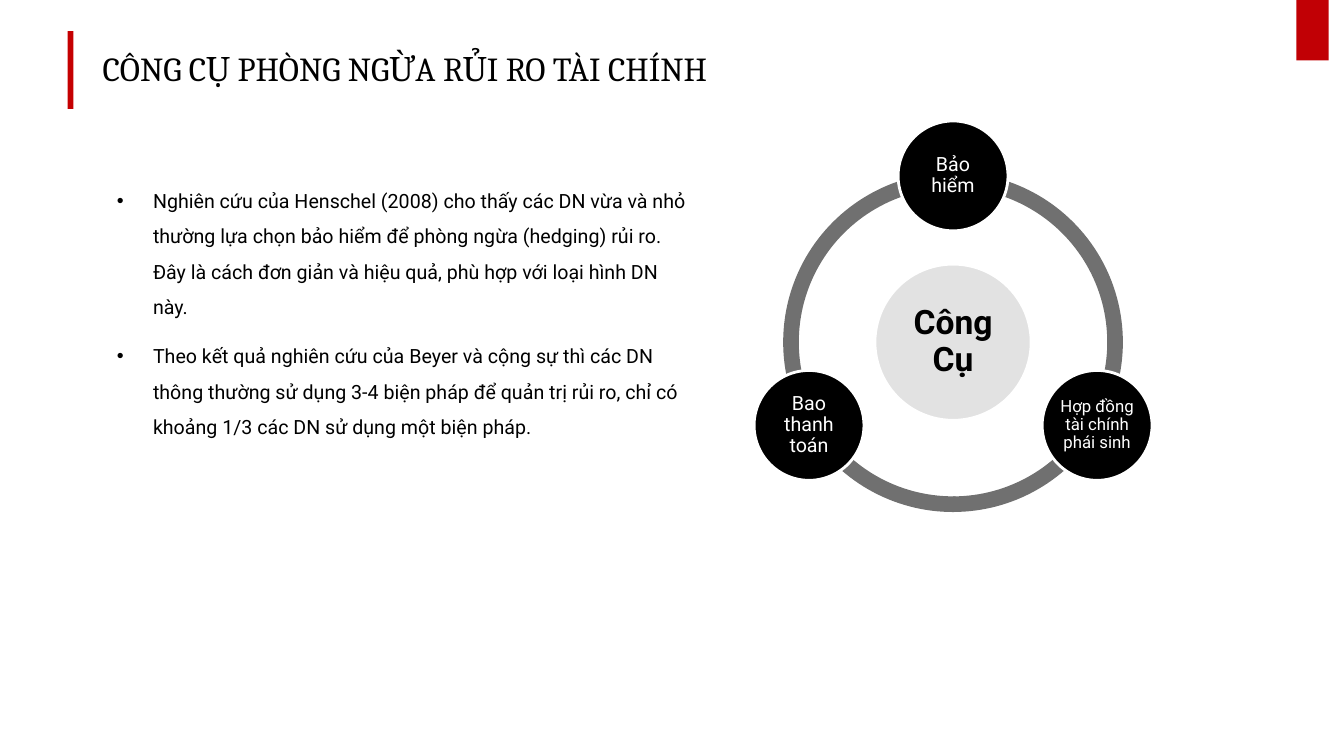
import math

from lxml import etree
from pptx import Presentation
from pptx import util as u
from pptx.dml.color import RGBColor
from pptx.enum import shapes, text
from pptx.oxml.ns import qn

COLOURS = {
    "tab": "C10005", "bar": "C50001", "ring": "707070",
    "hub": "E2E2E2", "black": "000000", "white": "FFFFFF",
}
TITLE = "CÔNG CỤ PHÒNG NGỪA RỦI RO TÀI CHÍNH"
POINTS = [
    "Nghiên cứu của Henschel (2008) cho thấy các DN vừa và nhỏ thường lựa chọn "
    "bảo hiểm để phòng ngừa (hedging) rủi ro. Đây là cách đơn giản và hiệu quả, "
    "phù hợp với loại hình DN này.",
    "Theo kết quả nghiên cứu của Beyer và cộng sự thì các DN thông thường sử dụng "
    "3-4 biện pháp để quản trị rủi ro, chỉ có khoảng 1/3 các DN sử dụng một biện pháp.",
]
HUB = "Công Cụ"
TOOLS = [("Bảo hiểm", 14), ("Hợp đồng tài chính phái sinh", 12), ("Bao thanh toán", 14)]
ARCS = [(89, 162), (18, 90), (162, 18)]
VOWELS = "aăâeêioôơuưy"
TONES = {
    0x300: "àằầèềìòồờùừỳ",
    0x301: "áắấéếíóốớúứý",
    0x303: "ãẵẫẽễĩõỗỡũữỹ",
    0x309: "ảẳẩẻểỉỏổởủửỷ",
    0x323: "ạặậẹệịọộợụựỵ",
}
TONE_MARKS = {
    ord(toned): vowel + chr(mark)
    for mark, row in TONES.items()
    for toned, vowel in zip(row + row.upper(), VOWELS + VOWELS.upper())
}


def colour(name):
    """Return the named colour."""
    return RGBColor.from_string(COLOURS[name])


def set_all(target, values):
    """Set each attribute of the target from a dict."""
    for name, value in values.items():
        setattr(target, name, value)


def set_frame(frame, inset, anchor):
    """Wrap a text frame and set its insets and anchor."""
    side, edge = (u.Inches(value) for value in inset)
    set_all(frame, {
        "word_wrap": True, "vertical_anchor": anchor,
        "margin_left": side, "margin_right": side,
        "margin_top": edge, "margin_bottom": edge,
    })


def write(paragraph, words, font, ink, layout):
    """Write one run, with Vietnamese tones as combining marks."""
    run = paragraph.add_run()
    run.text = words.translate(TONE_MARKS)
    set_all(run.font, font)
    run.font.color.rgb = colour(ink)
    set_all(paragraph, layout)


def add_figure(slide, kind, box, fill, outlined=False):
    """Add a filled preset shape, with a white outline if asked."""
    shape = slide.shapes.add_shape(kind, *(u.Inches(value) for value in box))
    shape.shadow.inherit = False
    shape.fill.solid()
    shape.fill.fore_color.rgb = colour(fill)
    if outlined:
        shape.line.color.rgb = colour("white")
        shape.line.width = u.Pt(2)
    else:
        shape.line.fill.background()
    return shape


def add_header(slide, box):
    """Add the red bar, the title beside it and the corner tab."""
    left, top, width, height = box
    rectangle = shapes.MSO_SHAPE.RECTANGLE
    tab = add_figure(slide, rectangle, (left + 12.03, top - 0.19, 0.64, 0.32), "tab")
    tab.rotation = 90
    add_figure(slide, rectangle, (left, top, 0.06, height), "bar")
    place = (left + 0.25, top + 0.17, width - 0.25, 0.44)
    title = slide.shapes.add_textbox(*(u.Inches(value) for value in place))
    set_frame(title.text_frame, (0.1, 0.05), text.MSO_ANCHOR.MIDDLE)
    write(title.text_frame.paragraphs[0], TITLE,
          {"name": "Cambria", "size": u.Pt(24)}, "black", {"line_spacing": 0.9})


def add_bullet(paragraph):
    """Give a paragraph a hanging black bullet."""
    properties = paragraph._p.get_or_add_pPr()
    properties.set("marL", str(u.Inches(0.5)))
    properties.set("indent", str(u.Inches(-0.36)))
    tint = etree.SubElement(properties, qn("a:buClr"))
    etree.SubElement(tint, qn("a:srgbClr"), val=COLOURS["black"])
    etree.SubElement(properties, qn("a:buFont"), typeface="Arial")
    etree.SubElement(properties, qn("a:buChar"), char="•")


def add_points(slide, box):
    """Add the bulleted findings."""
    body = slide.shapes.add_textbox(*(u.Inches(value) for value in box))
    frame = body.text_frame
    set_frame(frame, (0.1, 0.05), text.MSO_ANCHOR.TOP)
    for index, words in enumerate(POINTS):
        paragraph = frame.add_paragraph() if index else frame.paragraphs[0]
        write(paragraph, words, {"name": "Roboto", "size": u.Pt(14)}, "black",
              {"line_spacing": 1.5, "space_before": u.Pt(10)})
        add_bullet(paragraph)


def add_disc(slide, centre, size, fill, words, ink, font, inset):
    """Add a labelled circle around a centre."""
    x, y = centre
    box = (x - size / 2, y - size / 2, size, size)
    disc = add_figure(slide, shapes.MSO_SHAPE.OVAL, box, fill, outlined=True)
    set_frame(disc.text_frame, (inset, inset), text.MSO_ANCHOR.MIDDLE)
    write(disc.text_frame.paragraphs[0], words, {"name": "Roboto", **font}, ink,
          {"alignment": text.PP_ALIGN.CENTER, "line_spacing": 0.9})


def add_cycle(slide, box):
    """Add the ring, its hub and the tools spaced evenly round it."""
    left, top, width, height = box
    x, y = left + width / 2, top + height / 2
    for start, end in ARCS:
        arc = add_figure(slide, shapes.MSO_SHAPE.BLOCK_ARC, box, "ring")
        for index, value in enumerate((start * 0.6, end * 0.6, 0.046)):
            arc.adjustments[index] = value
    add_disc(slide, (x, y), 1.55, "hub", HUB, "black",
             {"size": u.Pt(24), "bold": True}, 0.03)
    orbit = 1.65
    for index, (words, size) in enumerate(TOOLS):
        angle = math.radians(360 / len(TOOLS) * index - 90)
        centre = (x + orbit * math.cos(angle), y + orbit * math.sin(angle))
        add_disc(slide, centre, 1.09, "black", words, "white", {"size": u.Pt(size)}, 0.02)


def main():
    """Build and save the presentation."""
    presentation = Presentation()
    presentation.slide_width = u.Inches(40 / 3)
    presentation.slide_height = u.Inches(7.5)
    slide = presentation.slides.add_slide(presentation.slide_layouts[6])
    add_header(slide, (0.67, 0.31, 11.75, 0.77))
    add_points(slide, (0.92, 1.71, 6.1, 3.1))
    add_cycle(slide, (7.77, 1.71, 3.37, 3.37))
    presentation.save("out.pptx")


if __name__ == "__main__":
    main()
